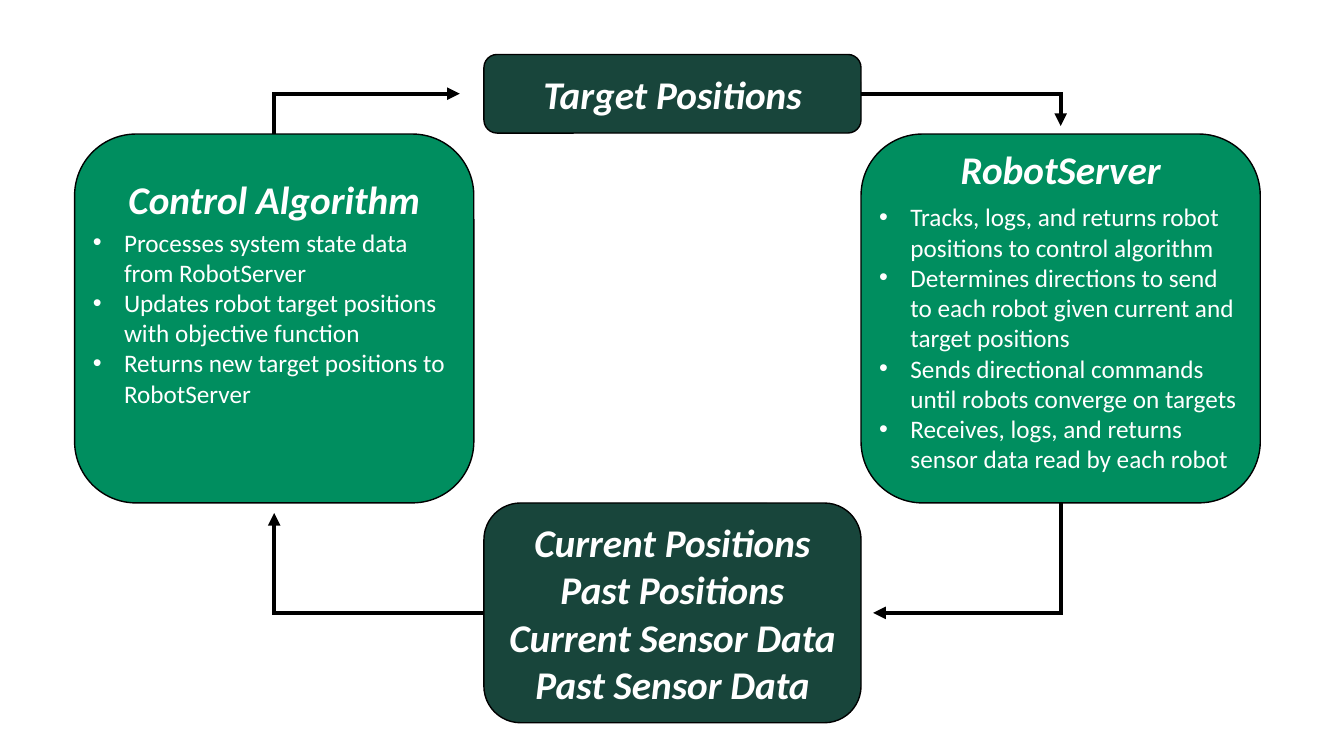
from pptx import Presentation
from pptx.dml.color import RGBColor
from pptx.enum.shapes import MSO_CONNECTOR, MSO_SHAPE
from pptx.enum.text import MSO_ANCHOR, MSO_AUTO_SIZE, PP_ALIGN
from pptx.oxml.ns import qn
from pptx.util import Pt
from lxml.etree import SubElement

PX = 9144  # EMU per px, 100 px to the inch
DARK_GREEN = RGBColor(0x18, 0x45, 0x3B)
GREEN = RGBColor(0x00, 0x8E, 0x5F)
WHITE = RGBColor(0xFF, 0xFF, 0xFF)
BLACK = RGBColor(0x00, 0x00, 0x00)
FONT = "Calibri"
HALF_LINE = 2  # px, closes the outer corner of an elbow
HEADING = dict(size=28, bold=True, italic=True, align=PP_ALIGN.CENTER)


def write(holder, lines, size=18, bold=False, italic=False,
          align=PP_ALIGN.LEFT, anchor=MSO_ANCHOR.TOP, indent=0):
    frame = holder.text_frame
    frame.word_wrap = True
    frame.auto_size = MSO_AUTO_SIZE.NONE
    frame.vertical_anchor = anchor
    frame.text = "\n".join(lines)
    for paragraph in frame.paragraphs:
        paragraph.alignment = align
        paragraph.space_before = paragraph.space_after = Pt(0)
        if indent:
            properties = paragraph._p.get_or_add_pPr()
            properties.set("marL", str(indent * PX))
            properties.set("indent", str(-indent * PX))
        for run in paragraph.runs:
            font = run.font
            font.name, font.size = FONT, Pt(size)
            font.bold, font.italic = bold, italic
            font.color.rgb = WHITE


def place(slide, placeholder, left, top, width, height):
    """Position a placeholder and bring it in front of its panel."""
    placeholder.left, placeholder.top = left * PX, top * PX
    placeholder.width, placeholder.height = width * PX, height * PX
    slide.shapes._spTree.append(placeholder._element)
    return placeholder


def panel(slide, box, color):
    rounded = slide.shapes.add_shape(
        MSO_SHAPE.ROUNDED_RECTANGLE, *(length * PX for length in box))
    rounded.shadow.inherit = False
    rounded.fill.solid()
    rounded.fill.fore_color.rgb = color
    rounded.line.color.rgb = BLACK
    rounded.line.width = Pt(1)
    return rounded


def target_panel(slide, box):
    left, top, width, height = box
    target = panel(slide, box, DARK_GREEN)
    title = place(slide, slide.shapes.title, left + 30, top + 11, width - 60, 57)
    write(title, ["Target Positions"], **HEADING)
    return target


def data_panel(slide, box, lines):
    state_data = panel(slide, box, DARK_GREEN)
    write(state_data, lines, anchor=MSO_ANCHOR.MIDDLE, **HEADING)
    return state_data


def process_panel(slide, box, first_idx, heading, duties, heading_drop, list_drop):
    left, top, width, height = box
    process = panel(slide, box, GREEN)
    fields = {field.placeholder_format.idx: field for field in slide.placeholders}
    name = place(slide, fields[first_idx], left + 31, top + heading_drop, width - 62, 64)
    write(name, [heading], **HEADING)
    duty_list = place(slide, fields[first_idx + 1], left + 8, top + list_drop,
                      width - 16, height - list_drop - 21)
    write(duty_list, duties, indent=31)
    return process


def leg(slide, start, end):
    line = slide.shapes.add_connector(
        MSO_CONNECTOR.STRAIGHT, *(length * PX for length in start + end))
    line.line.color.rgb = BLACK
    line.line.width = Pt(3)
    SubElement(line._element.spPr, qn("a:effectLst"))
    return line


def elbow_arrow(slide, source, site, start, corner, tip):
    """Leave a panel side, turn once at the corner, and point at the tip."""
    overshoot = tuple(c + HALF_LINE * ((c > s) - (c < s))
                      for s, c in zip(start, corner))
    leg(slide, start, overshoot).begin_connect(source, site)
    pointer = leg(slide, corner, tip)
    SubElement(pointer.line._get_or_add_ln(), qn("a:tailEnd"), type="triangle")


def control_loop(slide):
    # Panels
    target = target_panel(slide, (480, 54, 374, 78))
    state_data = data_panel(slide, (480, 499, 374, 218), [
        "Current Positions", "Past Positions",
        "Current Sensor Data", "Past Sensor Data"])
    control = process_panel(slide, (74, 133, 396, 366), 1, "Control Algorithm", [
        "Processes system state data from RobotServer",
        "Updates robot target positions with objective function",
        "Returns new target positions to RobotServer"], 36, 87)
    server = process_panel(slide, (854, 133, 396, 366), 3, "RobotServer", [
        "Tracks, logs, and returns robot positions to control algorithm",
        "Determines directions to send to each robot given current and target positions",
        "Sends directional commands until robots converge on targets",
        "Receives, logs, and returns sensor data read by each robot"], 6, 62)

    # Arrows around the loop
    control_x, server_x, target_y, data_y = 272, 1052, 93, 608
    elbow_arrow(slide, control, 0, (control_x, 133), (control_x, target_y), (456, target_y))
    elbow_arrow(slide, target, 3, (854, target_y), (server_x, target_y), (server_x, 125))
    elbow_arrow(slide, server, 2, (server_x, 499), (server_x, data_y), (866, data_y))
    elbow_arrow(slide, state_data, 1, (480, data_y), (control_x, data_y), (control_x, 509))


def main():
    deck = Presentation()
    deck.slide_width, deck.slide_height = 1333 * PX, 750 * PX
    comparison = deck.slide_layouts[4]
    control_loop(deck.slides.add_slide(comparison))
    deck.save("out.pptx")


if __name__ == "__main__":
    main()
